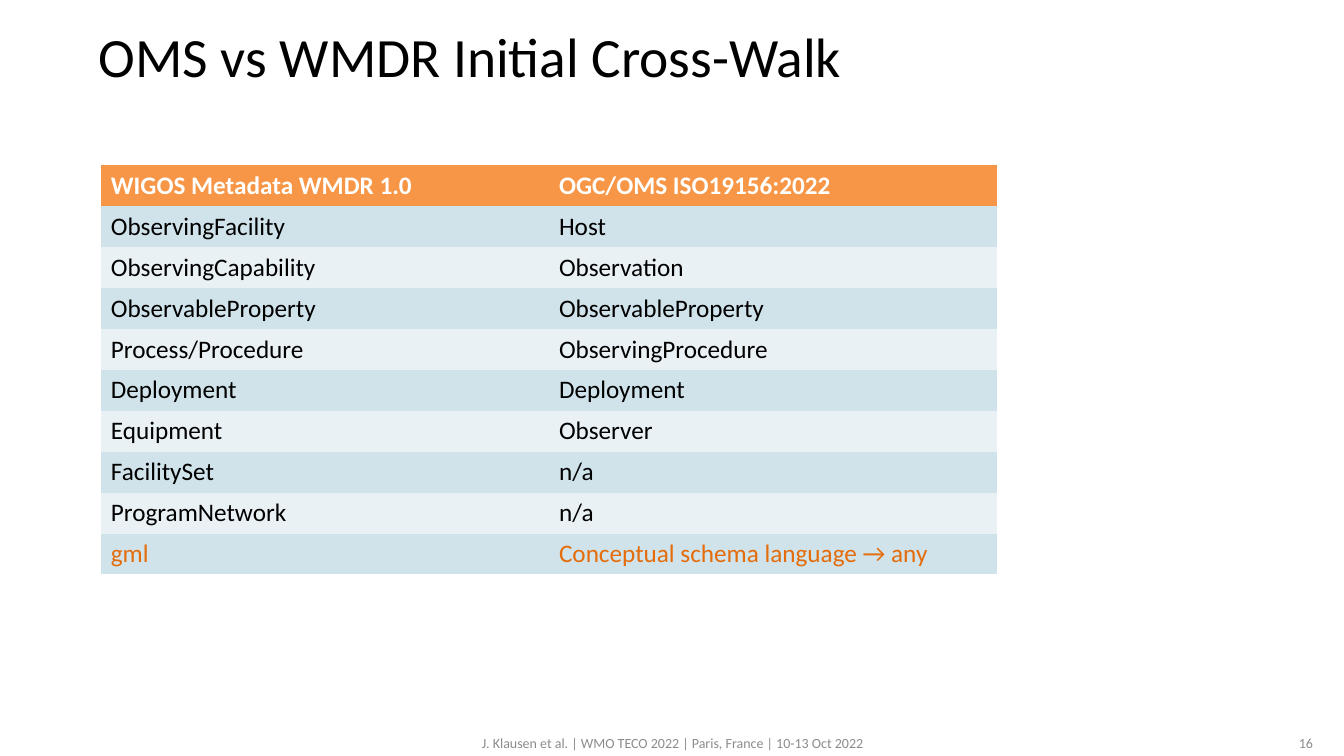
from pptx import Presentation
from pptx.dml.color import RGBColor
from pptx.enum import text as t
from pptx.oxml import ns
from pptx.util import Inches, Pt

FONT = "Calibri"
COLORS = {
    "black": "000000",
    "white": "FFFFFF",
    "header": "F79646",
    "odd_row": "D0E3EA",
    "even_row": "E9F1F5",
    "accent": "E46C0A",
    "footer": "8C8C8C",
}
NO_STYLE_NO_GRID = "{2D5ABB26-0587-4C30-8999-92F81FD0307C}"
CROSS_WALK = [
    ("WIGOS Metadata WMDR 1.0", "OGC/OMS ISO19156:2022"),
    ("ObservingFacility", "Host"),
    ("ObservingCapability", "Observation"),
    ("ObservableProperty", "ObservableProperty"),
    ("Process/Procedure", "ObservingProcedure"),
    ("Deployment", "Deployment"),
    ("Equipment", "Observer"),
    ("FacilitySet", "n/a"),
    ("ProgramNetwork", "n/a"),
    ("gml", "Conceptual schema language → any"),
]


def rgb(color):
    return RGBColor.from_string(COLORS[color])


def write(frame, wording, size, color, bold=False, align=t.PP_ALIGN.LEFT):
    paragraph = frame.paragraphs[0]
    paragraph.alignment = align
    run = paragraph.add_run()
    run.text = wording
    run.font.name = FONT
    run.font.size = Pt(size)
    run.font.bold = bold
    run.font.color.rgb = rgb(color)


def set_title(slide, wording):
    title = slide.shapes.title
    title.left, title.top = Inches(0.88), Inches(0.3)
    title.width, title.height = Inches(11.79), Inches(0.5)
    frame = title.text_frame
    frame.auto_size = t.MSO_AUTO_SIZE.NONE
    frame.vertical_anchor = t.MSO_ANCHOR.MIDDLE
    write(frame, wording, 39.6, "black")


def add_cross_walk(slide, rows):
    table = slide.shapes.add_table(
        len(rows), 2, Inches(1), Inches(1.64), Inches(8.89), Inches(4.06)
    ).table
    # Plain style, so that only the cell fills show
    table._tbl.tblPr.find(ns.qn("a:tableStyleId")).text = NO_STYLE_NO_GRID
    last = len(rows) - 1
    for r, terms in enumerate(rows):
        header = r == 0
        fill = "header" if header else "odd_row" if r % 2 else "even_row"
        color = "white" if header else "accent" if r == last else "black"
        for c, term in enumerate(terms):
            cell = table.cell(r, c)
            cell.fill.solid()
            cell.fill.fore_color.rgb = rgb(fill)
            write(cell.text_frame, term, 18, color, bold=header)


def add_footer(slide, wording, left, width, align):
    footer = slide.shapes.add_textbox(
        Inches(left), Inches(7.25), Inches(width), Inches(0.24)
    )
    frame = footer.text_frame
    frame.word_wrap = True
    frame.vertical_anchor = t.MSO_ANCHOR.MIDDLE
    write(frame, wording, 10, "footer", align=align)


def main():
    deck = Presentation()
    deck.slide_width, deck.slide_height = Inches(13.33), Inches(7.5)
    slide = deck.slides.add_slide(deck.slide_layouts.get_by_name("Title Only"))

    # Title and table
    set_title(slide, "OMS vs WMDR Initial Cross-Walk")
    add_cross_walk(slide, CROSS_WALK)

    # Event line and page number
    event = "J. Klausen et al. | WMO TECO 2022 | Paris, France | 10-13 Oct 2022"
    add_footer(slide, event, 4.42, 4.5, t.PP_ALIGN.CENTER)
    add_footer(slide, "16", 12.67, 0.45, t.PP_ALIGN.RIGHT)

    deck.save("out.pptx")


if __name__ == "__main__":
    main()
